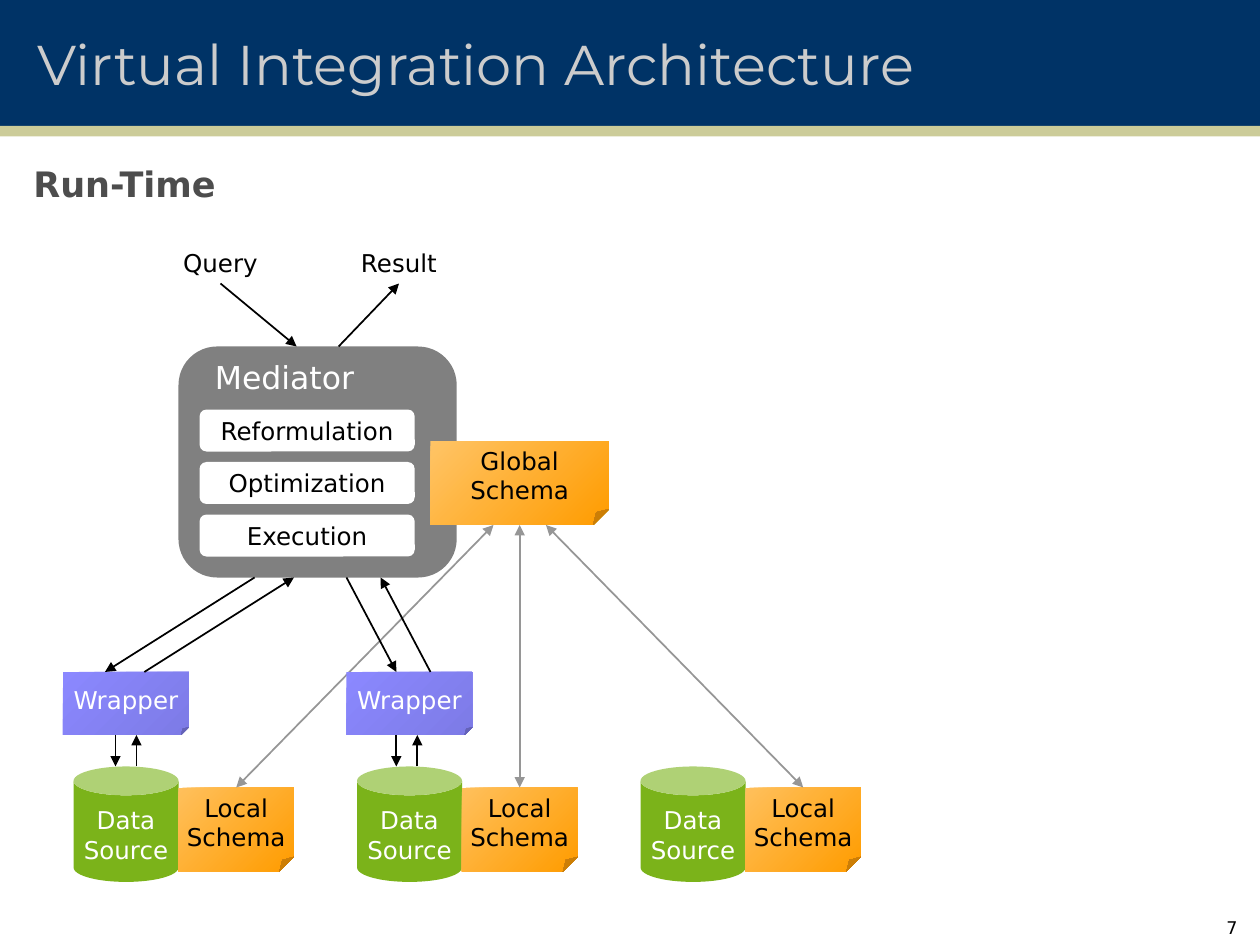
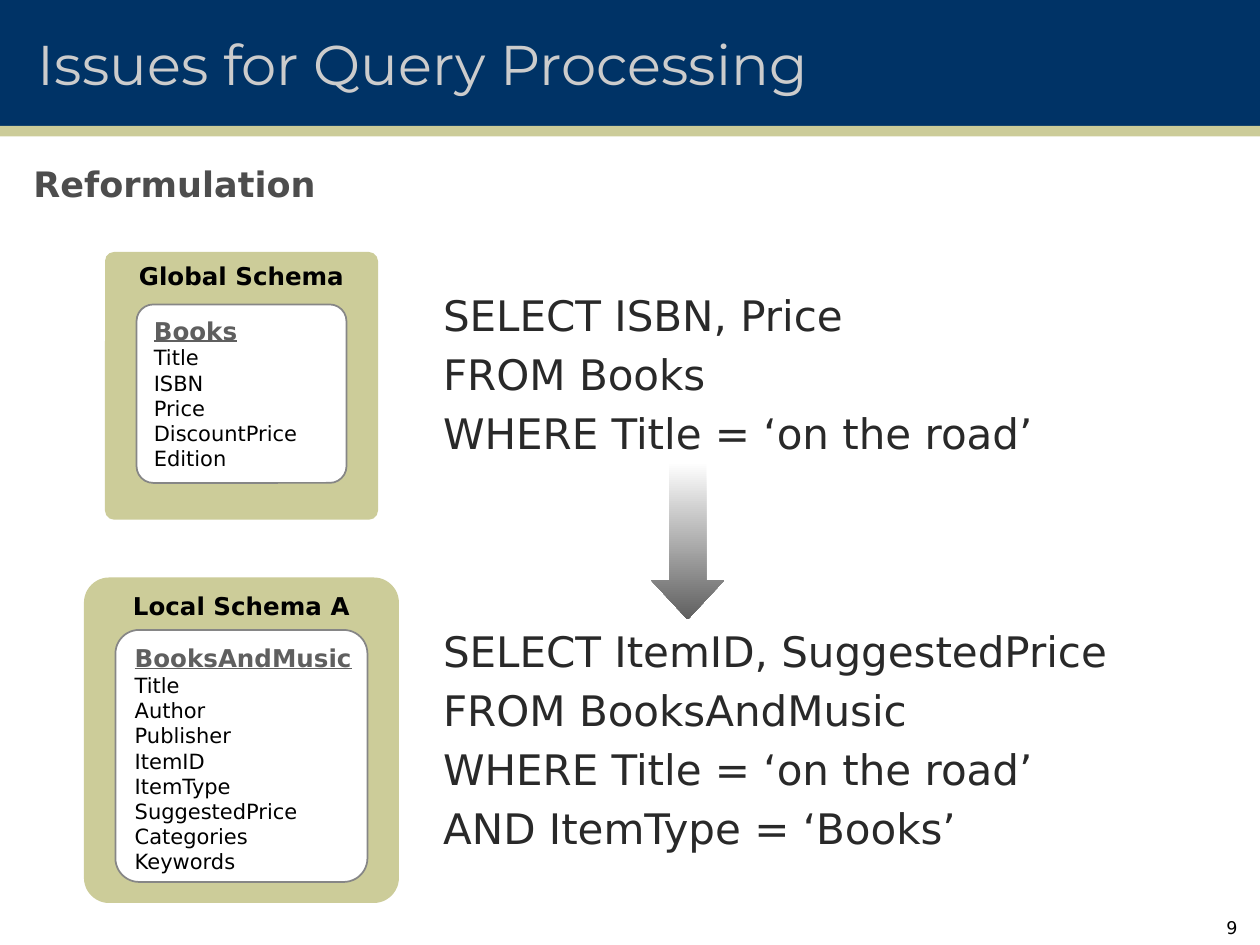
from dataclasses import dataclass
from typing import Any

import lxml.etree
import pptx
import pptx.dml.color
import pptx.enum.shapes
import pptx.enum.text
import pptx.oxml.ns
import pptx.util

Pt = pptx.util.Pt
qn = pptx.oxml.ns.qn
Kind = pptx.enum.shapes.MSO_SHAPE
Align = pptx.enum.text.PP_ALIGN
Anchor = pptx.enum.text.MSO_ANCHOR


@dataclass(frozen=True)
class Theme:
    # Fonts and sizes
    head_font: str = "Montserrat"
    font: str = "DejaVu Sans"
    head: int = 32
    query: int = 24
    sub: int = 20
    large: int = 18
    label: int = 14
    field: int = 12
    page: int = 10
    # Colours
    navy: str = "003366"
    sand: str = "CCCC99"
    silver: str = "CCCCCC"
    white: str = "FFFFFF"
    black: str = "000000"
    ink: str = "292929"
    dark: str = "4D4D4D"
    slate: str = "5F5F5F"
    gray: str = "808080"
    edge: str = "868686"
    link: str = "969696"
    green: str = "7BB31A"
    # Gradients
    gold: tuple[str, str] = ("FFC466", "FF9C00")
    amber: tuple[str, str] = ("FFC05C", "FF9C00")
    violet: tuple[str, str] = ("8B88FF", "7D7BE6")
    fade: tuple[str, str] = ("FFFFFF", "5F5F5F")


T = Theme()


@dataclass(frozen=True)
class Box:
    left: float
    top: float
    width: float
    height: float

    def points(self) -> list[int]:
        return [Pt(n) for n in (self.left, self.top, self.width, self.height)]


@dataclass(frozen=True)
class Arrow:
    x1: float
    y1: float
    x2: float
    y2: float
    color: str = T.black
    both: bool = False


@dataclass(frozen=True)
class Schema:
    name: str
    table: str
    fields: str
    box: Box
    inner: float  # height of the table card
    round: float


def rgb(code: str) -> Any:
    return pptx.dml.color.RGBColor.from_string(code)


def write(shape: Any, text: str, *, size: float = T.label, font: str = T.font,
          color: str = T.black, bold: bool = False, under: bool = False,
          align: Any = Align.CENTER, anchor: Any = Anchor.MIDDLE,
          inset: tuple = (7.2, 3.6, 7.2, 3.6), wrap: bool = False,
          plain: bool = False) -> None:
    """Add each line of text as a paragraph; plain turns bullets off."""
    frame = shape.text_frame
    frame.auto_size = pptx.enum.text.MSO_AUTO_SIZE.NONE
    frame.word_wrap, frame.vertical_anchor = wrap, anchor
    (frame.margin_left, frame.margin_top,
     frame.margin_right, frame.margin_bottom) = [Pt(n) for n in inset]
    for line in text.split("\n"):
        para = frame.add_paragraph() if frame.text else frame.paragraphs[0]
        para.alignment = align
        if plain:
            lxml.etree.SubElement(para._p.get_or_add_pPr(), qn("a:buNone"))
        run = para.add_run()
        run.text = line
        run.font.size, run.font.name = Pt(size), font
        run.font.bold, run.font.underline = bold, under
        run.font.color.rgb = rgb(color)


def draw(slide: Any, kind: Any, box: Box, fill: str | tuple[str, str],
         adjust: tuple = (), edge: str = "", angle: float = 45) -> Any:
    """Draw a preset shape with a solid or two-colour fill."""
    shape = slide.shapes.add_shape(kind, *box.points())
    shape.shadow.inherit = False
    for i, value in enumerate(adjust):
        shape.adjustments[i] = value
    if isinstance(fill, tuple):
        shape.fill.gradient()
        shape.fill.gradient_angle = 360 - angle
        for stop, code in zip(shape.fill.gradient_stops, fill):
            stop.color.rgb = rgb(code)
    else:
        shape.fill.solid()
        shape.fill.fore_color.rgb = rgb(fill)
    if edge:
        shape.line.color.rgb, shape.line.width = rgb(edge), Pt(1)
    else:
        shape.line.fill.background()
    return shape


def label(slide: Any, box: Box, text: str, **form: Any) -> None:
    write(slide.shapes.add_textbox(*box.points()), text, **form)


def place(shape: Any, box: Box) -> None:
    shape.left, shape.top, shape.width, shape.height = box.points()


def join(slide: Any, arrow: Arrow) -> None:
    ends = [Pt(n) for n in (arrow.x1, arrow.y1, arrow.x2, arrow.y2)]
    line = slide.shapes.add_connector(
        pptx.enum.shapes.MSO_CONNECTOR.STRAIGHT, *ends)
    line.line.color.rgb, line.line.width = rgb(arrow.color), Pt(1)
    stroke = line.line._get_or_add_ln()
    for tag in ("a:headEnd", "a:tailEnd") if arrow.both else ("a:tailEnd",):
        lxml.etree.SubElement(stroke, qn(tag), type="triangle")
    lxml.etree.SubElement(line._element.spPr, qn("a:effectLst"))


def start(deck: Any, layout: int, title: str, sub: str, page: str) -> Any:
    """Add a slide with its title bar, band, subhead and page number."""
    slide = deck.slides.add_slide(deck.slide_layouts[layout])
    draw(slide, Kind.RECTANGLE, Box(0, 72, 720, 6), T.sand)
    bar = slide.shapes.title
    place(bar, Box(0, 0, 720, 72))
    bar.fill.solid()
    bar.fill.fore_color.rgb = rgb(T.navy)
    write(bar, title, size=T.head, font=T.head_font, color=T.silver,
          align=Align.LEFT, inset=(21.6, 3.6, 7.2, 3.6), wrap=True)
    label(slide, Box(12, 84, 648, 42), sub, size=T.sub, color=T.dark,
          bold=True, align=Align.LEFT, wrap=True)
    label(slide, Box(688, 520.5, 32, 19.5), page, size=T.page)
    return slide


def note(slide: Any, box: Box, text: str, fill: tuple[str, str],
         fold: float, **form: Any) -> None:
    """Draw a card whose corner is folded by a share of its height."""
    card = draw(slide, Kind.FOLDED_CORNER, box, fill)
    # python-pptx lists no adjustment for this preset
    guides = card._element.spPr.find(qn("a:prstGeom")).get_or_add_avLst()
    lxml.etree.SubElement(guides, qn("a:gd"), name="adj",
                          fmla=f"val {round(fold * 100000)}")
    write(card, text, **form)


def runtime(deck: Any) -> None:
    slide = start(deck, 5, "Virtual Integration Architecture", "Run-Time", "7")
    tight = (2.16,) * 4

    # Mediator and its steps
    core = draw(slide, Kind.ROUNDED_RECTANGLE, Box(102, 198, 159, 132),
                T.gray, (0.167,))
    write(core, "Mediator", size=T.large, color=T.white, align=Align.LEFT,
          anchor=Anchor.TOP, inset=(14.4, 0, 7.2, 3.6))
    for i, step in enumerate(("Reformulation", "Optimization", "Execution")):
        card = draw(slide, Kind.ROUNDED_RECTANGLE,
                    Box(114, 234 + 30 * i, 123, 24), T.white, (0.167,))
        write(card, step)
    note(slide, Box(246, 252, 102, 48), "Global\nSchema", T.gold, 0.188,
         inset=tight)

    # Query in, result out
    for left, text in ((90, "Query"), (192, "Result")):
        label(slide, Box(left, 138, 72, 24), text, inset=(7.2, 0, 7.2, 0))

    # Sources, each with a local schema linked to the global one
    for i in range(3):
        left = 42 + 162 * i
        can = draw(slide, Kind.CAN, Box(left, 438, 60, 66), T.green, (0.275,))
        write(can, "Data\nSource", color=T.white, inset=(7.2, 3.6, 7.2, 0))
        note(slide, Box(left + 60, 450, 66, 48), "Local\nSchema", T.amber,
             0.172, inset=tight)
        join(slide, Arrow(282 + 15 * i, 300, left + 93, 450, T.link, True))

    # Wrappers of the first two sources
    for left in (36, 198):
        note(slide, Box(left, 384, 72, 36), "Wrapper", T.violet, 0.125,
             color=T.white)

    # Flow of queries and results
    for arrow in (
        Arrow(126, 162, 169.5, 198), Arrow(193.5, 198, 228, 162),
        Arrow(145.5, 330, 60, 384), Arrow(82.5, 384, 168, 330),
        Arrow(198, 330, 226.5, 384), Arrow(246, 384, 217.5, 330),
        Arrow(66, 420, 66, 438), Arrow(78, 438, 78, 420),
        Arrow(226.5, 420, 226.5, 438), Arrow(238.5, 438, 238.5, 420),
    ):
        join(slide, arrow)


def issues(deck: Any) -> None:
    slide = start(deck, 3, "Issues for Query Processing", "Reformulation", "9")
    draw(slide, Kind.DOWN_ARROW, Box(372, 264, 42, 90), T.fade,
         (0.5, 0.536), angle=90)

    # Schemas, each a panel around a table card
    for item in (
        Schema("Global Schema", "Books",
               "Title\nISBN\nPrice\nDiscountPrice\nEdition",
               Box(60, 144, 156, 153), 102, 0.034),
        Schema("Local Schema A", "BooksAndMusic",
               "Title\nAuthor\nPublisher\nItemID\nItemType\n"
               "SuggestedPrice\nCategories\nKeywords",
               Box(48, 330, 180, 186), 144, 0.08),
    ):
        box = item.box
        panel = draw(slide, Kind.ROUNDED_RECTANGLE, box, T.sand, (item.round,))
        write(panel, item.name, bold=True, anchor=Anchor.TOP)
        card = draw(slide, Kind.ROUNDED_RECTANGLE,
                    Box(box.left + 18, box.top + 30, box.width - 36,
                        item.inner), T.white, (0.094,), T.edge)
        write(card, item.table, color=T.slate, bold=True, under=True,
              align=Align.LEFT, anchor=Anchor.TOP)
        write(card, item.fields, size=T.field, align=Align.LEFT,
              anchor=Anchor.TOP)

    # Query before and after
    for slot, box, text in (
        (1, Box(246, 162, 372, 108),
         "SELECT ISBN, Price\nFROM Books\nWHERE Title = ‘on the road’"),
        (2, Box(246, 354, 408, 144),
         "SELECT ItemID, SuggestedPrice\nFROM BooksAndMusic\n"
         "WHERE Title = ‘on the road’\nAND ItemType = ‘Books’"),
    ):
        body = slide.placeholders[slot]
        place(body, box)
        write(body, text, size=T.query, color=T.ink, align=Align.LEFT,
              anchor=Anchor.TOP, wrap=True, plain=True)


def main() -> None:
    deck = pptx.Presentation()
    deck.slide_width, deck.slide_height = Pt(720), Pt(540)
    runtime(deck)
    issues(deck)
    deck.save("out.pptx")


if __name__ == "__main__":
    main()
